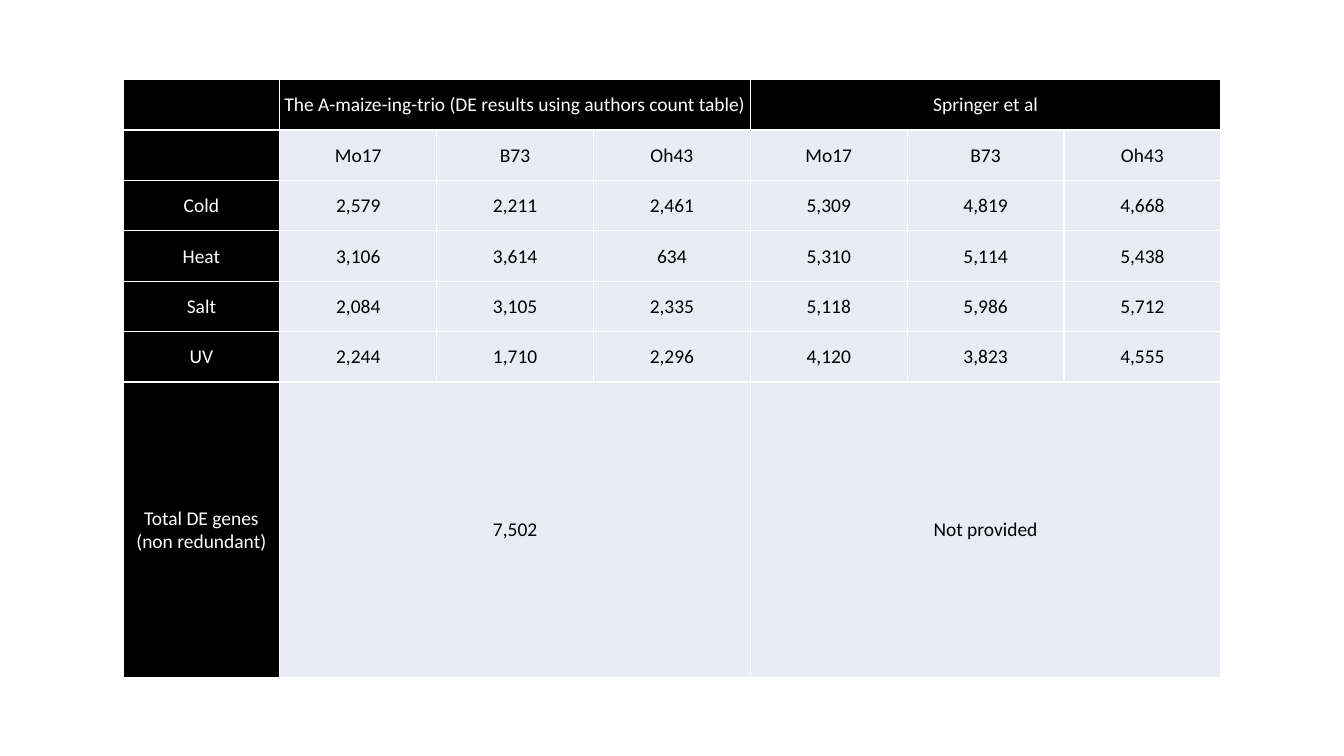
from dataclasses import dataclass

from lxml import etree
from pptx import Presentation
from pptx.dml.color import RGBColor
from pptx.enum.text import MSO_ANCHOR, PP_ALIGN
from pptx.oxml.ns import qn
from pptx.util import Inches, Pt

CENTER = PP_ALIGN.CENTER
MIDDLE = MSO_ANCHOR.MIDDLE
BLANK_LAYOUT = 6


@dataclass(frozen=True)
class Theme:
    """Colours, type and line sizes of the slide."""
    dark: str = "000000"
    light: str = "E9EBF5"
    white: str = "FFFFFF"
    font: str = "Calibri"
    size: float = 13.9
    border: float = 1


THEME = Theme()

STUDIES = ["The A-maize-ing-trio (DE results using authors count table)",
           "Springer et al"]
LINES = ["Mo17", "B73", "Oh43"]
COUNTS = {
    "Cold": ["2,579", "2,211", "2,461", "5,309", "4,819", "4,668"],
    "Heat": ["3,106", "3,614", "634", "5,310", "5,114", "5,438"],
    "Salt": ["2,084", "3,105", "2,335", "5,118", "5,986", "5,712"],
    "UV": ["2,244", "1,710", "2,296", "4,120", "3,823", "4,555"],
}
TOTAL_LABEL = "Total DE genes\n(non redundant)"
TOTALS = ["7,502", "Not provided"]

LEFT, TOP, WIDTH = Inches(1.22), Inches(0.79), Inches(10.89)
ROW_HEIGHT, TOTAL_HEIGHT = Inches(0.5), Inches(2.93)
INSET = Inches(0.01)


def spread(values):
    """Put each study's value in the first of its columns."""
    return [text for value in values
            for text in [value] + [""] * (len(LINES) - 1)]


def add_borders(cell):
    """Draw a thin white line on all four sides of a cell."""
    properties = cell._tc.get_or_add_tcPr()
    for side in ("lnL", "lnR", "lnT", "lnB"):
        line = etree.SubElement(properties, qn(f"a:{side}"),
                                w=str(Pt(THEME.border)))
        fill = etree.SubElement(line, qn("a:solidFill"))
        etree.SubElement(fill, qn("a:srgbClr"), val=THEME.white)


def write_cell(cell, text, *, fill, color):
    """Fill a cell and write its centred text."""
    add_borders(cell)
    cell.fill.solid()
    cell.fill.fore_color.rgb = RGBColor.from_string(fill)
    cell.margin_left = cell.margin_right = cell.margin_top = INSET
    cell.margin_bottom = 0
    cell.vertical_anchor = MIDDLE
    cell.text = text
    for para in cell.text_frame.paragraphs:
        para.alignment = CENTER
        para.font.name = THEME.font
        para.font.size = Pt(THEME.size)
        for span in para.runs:
            span.font.name = THEME.font
            span.font.size = Pt(THEME.size)
            span.font.color.rgb = RGBColor.from_string(color)


def add_gene_table(page):
    """Add the table of gene counts by stress, study and maize line."""
    rows = [["", *spread(STUDIES)], ["", *LINES * len(STUDIES)]]
    rows += [[stress, *counts] for stress, counts in COUNTS.items()]
    rows.append([TOTAL_LABEL, *spread(TOTALS)])
    last, columns = len(rows) - 1, len(rows[0])

    height = ROW_HEIGHT * last + TOTAL_HEIGHT
    table = page.shapes.add_table(len(rows), columns, LEFT, TOP,
                                  WIDTH, height).table
    for column in table.columns:
        column.width = WIDTH // columns
    for index, row in enumerate(table.rows):
        row.height = TOTAL_HEIGHT if index == last else ROW_HEIGHT

    for r, texts in enumerate(rows):
        for c, text in enumerate(texts):
            heading = r == 0 or c == 0
            write_cell(table.cell(r, c), text,
                       fill=THEME.dark if heading else THEME.light,
                       color=THEME.white if heading else THEME.dark)
    for r in (0, last):
        for c in range(1, columns, len(LINES)):
            table.cell(r, c).merge(table.cell(r, c + len(LINES) - 1))


deck = Presentation()
deck.slide_width, deck.slide_height = Inches(13.33), Inches(7.5)
page = deck.slides.add_slide(deck.slide_layouts[BLANK_LAYOUT])
add_gene_table(page)
deck.save("out.pptx")
